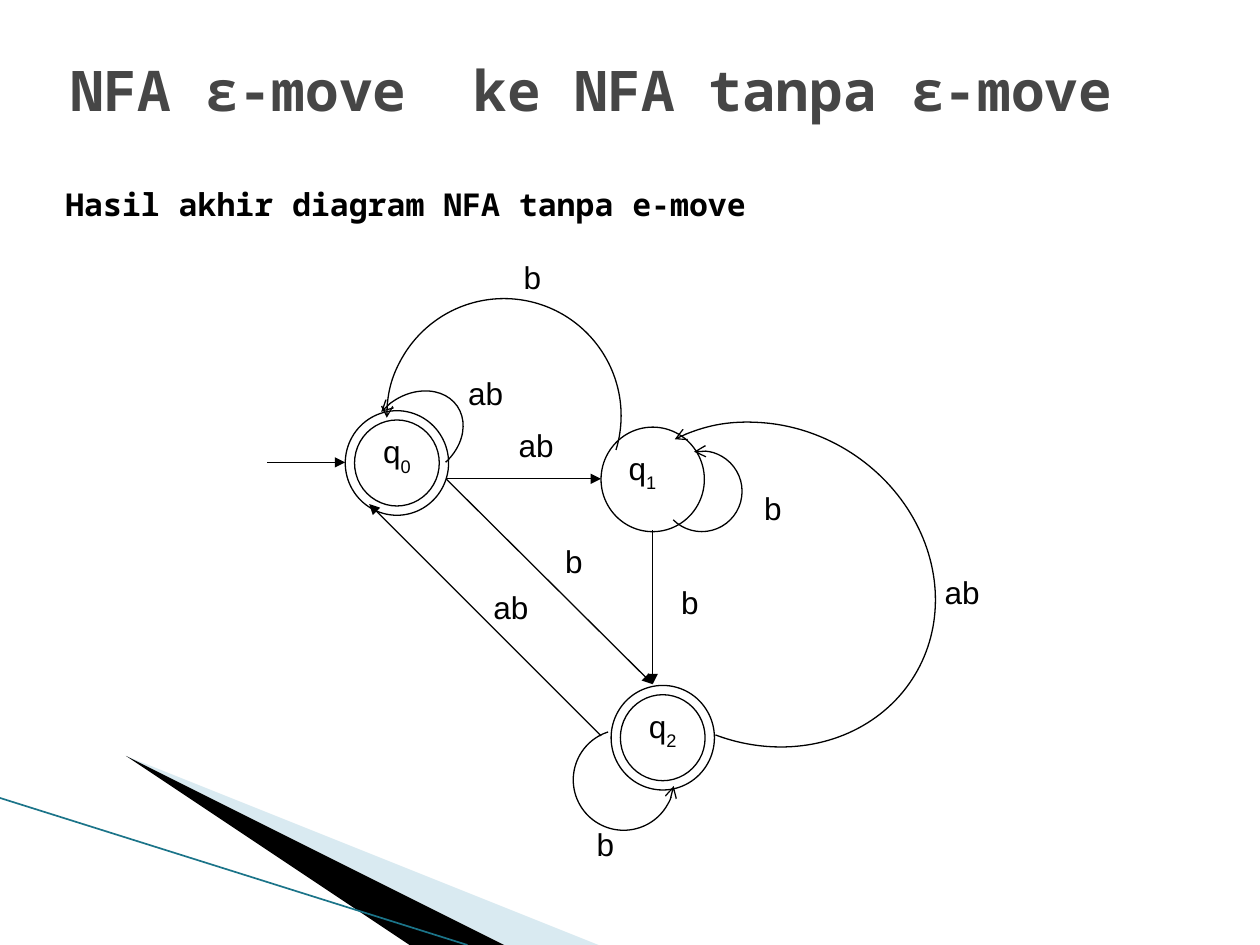
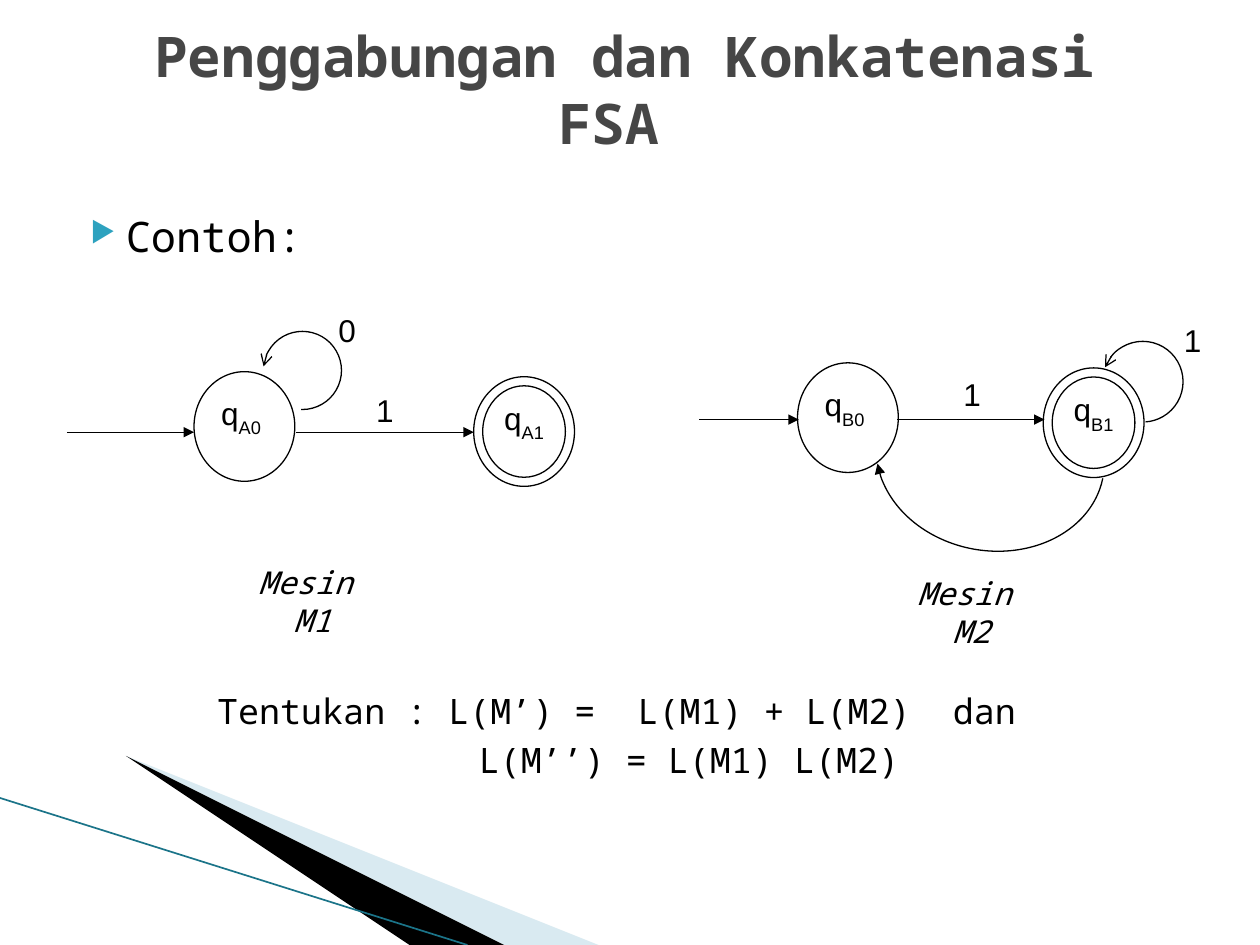
from pptx import Presentation
from pptx.dml.color import RGBColor
from pptx.enum.shapes import MSO_CONNECTOR, MSO_SHAPE
from pptx.enum.text import MSO_ANCHOR, PP_ALIGN
from pptx.oxml.ns import qn
from pptx.util import Inches, Pt
from lxml.etree import SubElement

MONO, SANS = "Noto Sans Mono", "Arial"
BLACK, WHITE, GREY, TEAL, PALE, ACCENT = "000000", "FFFFFF", "464646", "1B7489", "A0CBDC", "2DA2BF"
LEFT, CENTER = PP_ALIGN.LEFT, PP_ALIGN.CENTER
HANGING = (0.4, -0.28)


def put_text(sp, lines, size, font=SANS, color=BLACK, align=LEFT, indents=(), anchor=MSO_ANCHOR.TOP, bold=False, italic=False):
    tf = sp.text_frame
    tf.word_wrap = True
    tf.vertical_anchor = anchor
    tf.text = "\n".join(lines)
    for p, (margin, first) in zip(tf.paragraphs, indents):
        pPr = p._p.get_or_add_pPr()
        pPr.set("marL", str(Inches(margin)))
        pPr.set("indent", str(Inches(first)))
    for p in tf.paragraphs:
        p.alignment = align
        for r in p.runs:
            r.font.size = Pt(size)
            r.font.name = font
            r.font.bold = bold
            r.font.italic = italic
            r.font.color.rgb = RGBColor.from_string(color)
    return tf


def draw_line(sp, color=BLACK, width=0.75, head=None, tail=None):
    sp.line.color.rgb = RGBColor.from_string(color)
    sp.line.width = Pt(width)
    ln = sp.line._get_or_add_ln()
    for tag, kind in (("a:headEnd", head), ("a:tailEnd", tail)):
        if kind:
            SubElement(ln, qn(tag), type=kind)
    SubElement(sp._element.spPr, qn("a:effectLst"))


prs = Presentation()
prs.slide_width, prs.slide_height = Inches(10), Inches(7.5)

bands = [
    (PALE, [(0.55, 6.5), (5.95, 7.5), (4.56, 7.5)]),
    (BLACK, [(0.53, 6.49), (4.57, 7.5), (3.72, 7.5)]),
]

slides = [
    {
        "title": "NFA ε-move  ke NFA tanpa ε-move ",
        "state_size": (0.82, 0.83),
        "labels": [
            ("b", 3.92, 2), ("b", 4.25, 4.25), ("b", 5.17, 4.58), ("b", 4.5, 6.5), ("b", 5.83, 3.83),
            ("ab", 3.75, 4.62), ("ab", 7.33, 4.5), ("ab", 3.95, 3.33), ("ab", 3.55, 2.92),
        ],
        "states": [("0", True, 2.74, 3.26), ("1", False, 4.77, 3.39), ("2", True, 4.85, 5.44)],
        "arrows": [
            (2.12, 3.67, 2.74, 3.67), (5.18, 4.21, 5.18, 5.43), (3.54, 3.8, 4.77, 3.8),
            (3.54, 3.8, 5.18, 5.43), (4.77, 5.84, 2.93, 4),
        ],
        "arcs": [
            ("arrow", None, 5.57, 3.9, 0.32, 0.32, 0, 259, 135),
            ("arrow", None, 3.3, 3.45, 0.4, 0.32, 325.6, 248, 77),
            ("arrow", None, 4.95, 6.19, 0.4, 0.4, 0, 7, 252),
            ("arrow", None, 6.07, 4.64, 1.39, 1.25, 31.2, 207, 77),
            ("arrow", None, 4, 3.3, 0.93, 0.93, 0, 179, 17),
        ],
    },
    {
        "title": " Penggabungan dan Konkatenasi FSA",
        "state_size": (0.8, 0.87),
        "labels": [("0", 2.45, 2.42), ("1", 2.75, 3.05), ("1", 7.41, 2.93), ("1", 9.16, 2.5)],
        "states": [
            ("A0", False, 1.54, 2.95), ("A1", True, 3.76, 2.99),
            ("B0", False, 6.33, 2.88), ("B1", True, 8.28, 2.92),
        ],
        "arrows": [
            (0.53, 3.43, 1.54, 3.43), (2.35, 3.43, 3.76, 3.43),
            (5.55, 3.33, 6.34, 3.33), (7.12, 3.33, 8.29, 3.33),
        ],
        "arcs": [
            ("arrow", None, 2.4, 2.94, 0.31, 0.31, 0, 186, 92),
            ("arrow", None, 9.07, 3.03, 0.32, 0.32, 0, 201, 86),
            (None, "triangle", 7.86, 3.62, 0.91, 0.75, 10.2, 1, 166),
        ],
    },
]

for content in slides:
    s = prs.slides.add_slide(prs.slide_layouts[6])
    s.background.fill.solid()
    s.background.fill.fore_color.rgb = RGBColor.from_string(WHITE)

    for color, points in bands:
        fb = s.shapes.build_freeform(*points[0], scale=Inches(1))
        fb.add_line_segments(points[1:])
        sp = fb.convert_to_shape()
        sp.shadow.inherit = False
        sp.fill.solid()
        sp.fill.fore_color.rgb = RGBColor.from_string(color)
        sp.line.fill.background()
        if color == PALE:
            SubElement(sp._element.spPr.find(".//" + qn("a:srgbClr")), qn("a:alpha"), val="40000")
    edge = s.shapes.add_connector(MSO_CONNECTOR.STRAIGHT, Inches(-0.01), Inches(6.33), Inches(3.71), Inches(7.5))
    draw_line(edge, TEAL, 0.95)

    title = s.shapes.add_textbox(Inches(0.33), Inches(0.08), Inches(9), Inches(1.25))
    put_text(title, [content["title"]], 32, MONO, GREY, CENTER, anchor=MSO_ANCHOR.MIDDLE, bold=True)

    for text, x, y in content["labels"]:
        label = s.shapes.add_textbox(Inches(x), Inches(y), Inches(0.61), Inches(0.42))
        put_text(label, [text], 18, align=CENTER)

    w, h = content["state_size"]
    for name, final, x, y in content["states"]:
        kind = MSO_SHAPE.DONUT if final else MSO_SHAPE.FLOWCHART_CONNECTOR
        sp = s.shapes.add_shape(kind, Inches(x), Inches(y), Inches(w), Inches(h))
        if final:
            sp.adjustments[0] = 0.09
        sp.shadow.inherit = False
        sp.fill.solid()
        sp.fill.fore_color.rgb = RGBColor.from_string(WHITE)
        sp.line.color.rgb = RGBColor.from_string(BLACK)
        sp.line.width = Pt(0.75)
        p = put_text(sp, ["q"], 18, align=CENTER if final else LEFT).paragraphs[0]
        r = p.add_run()
        r.text = name
        r.font.size = Pt(18)
        r.font.name = SANS
        r.font.color.rgb = RGBColor.from_string(BLACK)
        r._r.get_or_add_rPr().set("baseline", "-30000")

    for ends in content["arrows"]:
        arrow = s.shapes.add_connector(MSO_CONNECTOR.STRAIGHT, *map(Inches, ends))
        draw_line(arrow, tail="triangle")

    for head, tail, cx, cy, rx, ry, turn, start, end in content["arcs"]:
        sp = s.shapes.add_shape(MSO_SHAPE.ARC, Inches(cx - rx), Inches(cy - ry), Inches(2 * rx), Inches(2 * ry))
        sp.adjustments[0] = start * 0.6
        sp.adjustments[1] = end * 0.6
        sp.rotation = turn
        sp.fill.background()
        draw_line(sp, head=head, tail=tail)

result_slide, union_slide = prs.slides

subtitle = result_slide.shapes.add_textbox(Inches(0.42), Inches(1.42), Inches(6.25), Inches(0.92))
put_text(subtitle, ["Hasil akhir diagram NFA tanpa e-move"], 18, MONO, bold=True)

example = union_slide.shapes.add_textbox(Inches(0.5), Inches(1.62), Inches(9), Inches(0.55))
tf = put_text(example, ["Contoh:"], 24, MONO, indents=[HANGING])
pPr = tf.paragraphs[0]._p.get_or_add_pPr()
SubElement(SubElement(pPr, qn("a:buClr")), qn("a:srgbClr"), val=ACCENT)
SubElement(pPr, qn("a:buSzPct"), val="68000")
SubElement(pPr, qn("a:buChar"), char="▶")

for text, x, y, w in [("Mesin M1", 1.83, 4.42, 1.48), ("Mesin  M2", 7.06, 4.51, 1.57)]:
    machine = union_slide.shapes.add_textbox(Inches(x), Inches(y), Inches(w), Inches(0.57))
    put_text(machine, [text], 18, MONO, indents=[HANGING], italic=True)

task = union_slide.shapes.add_textbox(Inches(0.42), Inches(5.42), Inches(9), Inches(0.92))
lines = ["Tentukan : L(M’) =  L(M1) + L(M2)  dan ", "L(M’’) = L(M1) L(M2)"]
tf = put_text(task, lines, 20, MONO, align=CENTER, indents=[HANGING, (1.1, 0)])
tf.paragraphs[1].space_before = Pt(4)

prs.save("out.pptx")
